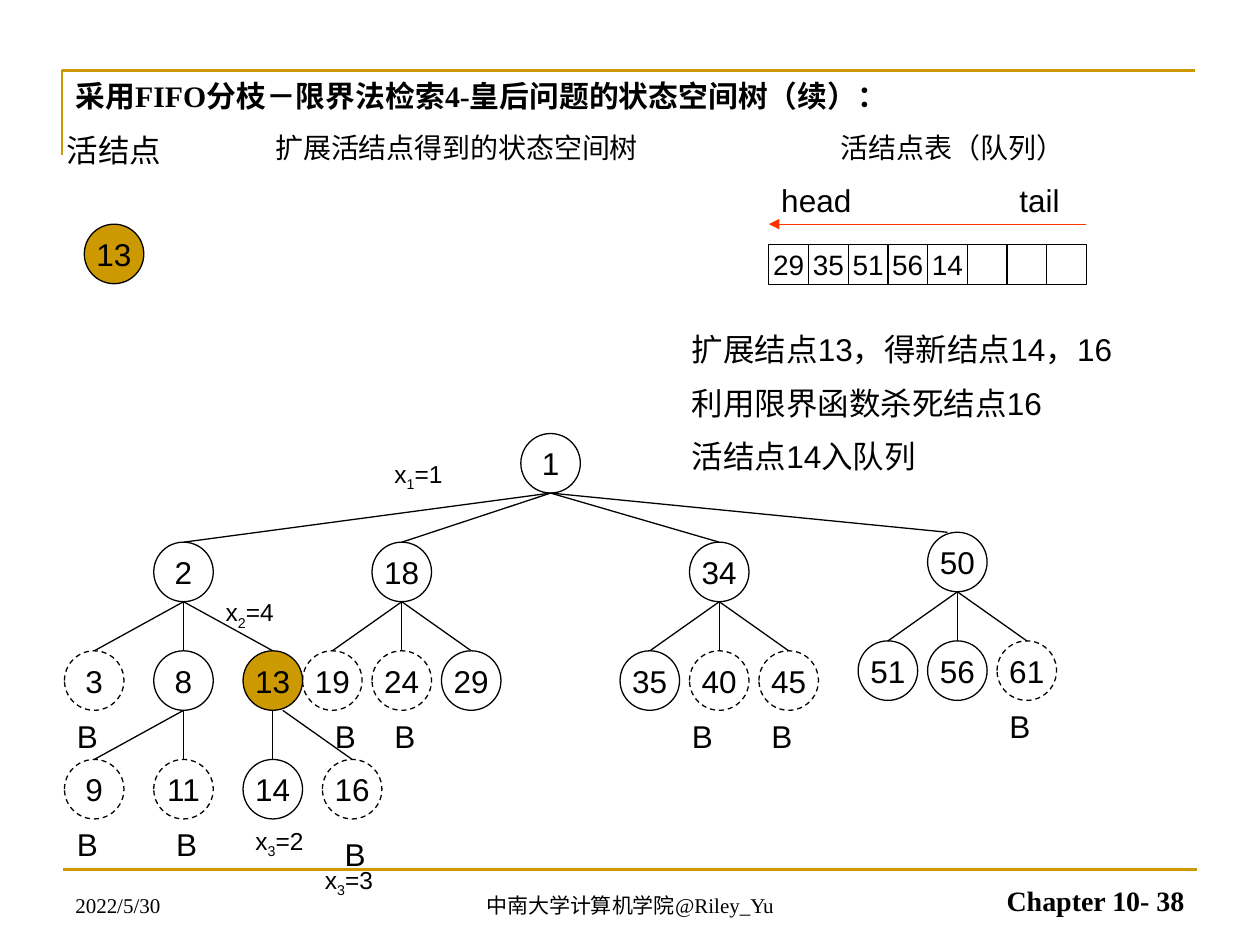
from lxml import etree
from pptx import Presentation
from pptx import util as u
from pptx.dml.color import RGBColor
from pptx.enum import dml, shapes, text
from pptx.oxml.ns import qn

BLACK = RGBColor(0x00, 0x00, 0x00)
GOLD = RGBColor(0xCC, 0x99, 0x00)
RED = RGBColor(0xFF, 0x33, 0x00)

LEFT, CENTER, RIGHT = text.PP_ALIGN.LEFT, text.PP_ALIGN.CENTER, text.PP_ALIGN.RIGHT
TOP, MIDDLE, BOTTOM = text.MSO_ANCHOR.TOP, text.MSO_ANCHOR.MIDDLE, text.MSO_ANCHOR.BOTTOM


def write(frame, content, size=18, font="Arial", bold=False, align=LEFT,
          anchor=TOP, wrap=True, subscript=None):
    """Fill a text frame, one paragraph per line of content."""
    frame.auto_size = text.MSO_AUTO_SIZE.NONE
    frame.word_wrap = wrap
    frame.vertical_anchor = anchor
    for index, line in enumerate(content.split("\n")):
        para = frame.add_paragraph() if index else frame.paragraphs[0]
        para.alignment = align
        if index:
            para.space_before = u.Pt(size / 2)
        for piece in line.partition(subscript) if subscript else [line]:
            span = para.add_run()
            span.text = piece
            span.font.size = u.Pt(size)
            span.font.name = font
            span.font.bold = bold
            span.font.color.rgb = BLACK
            if piece == subscript:
                span.font._element.set("baseline", "-25000")


def add_outlined(kind, left, top, size, label, fill=None, dashed=False):
    """Add a thin black circle or square with a centred label."""
    shape = page.shapes.add_shape(kind, u.Cm(left), u.Cm(top), u.Cm(size), u.Cm(size))
    shape.shadow.inherit = False
    if fill is None:
        shape.fill.background()
    else:
        shape.fill.solid()
        shape.fill.fore_color.rgb = fill
    shape.line.color.rgb = BLACK
    shape.line.width = u.Pt(0.75)
    if dashed:
        shape.line.dash_style = dml.MSO_LINE.DASH
    if label:
        points = 18 if kind == shapes.MSO_SHAPE.OVAL else 16
        write(shape.text_frame, label, size=points, align=CENTER, anchor=MIDDLE, wrap=False)


deck = Presentation()
deck.slide_width, deck.slide_height = u.Cm(25.4), u.Cm(19.05)
page = deck.slides.add_slide(deck.slide_layouts[5])

# Corner rule around the title
builder = page.shapes.build_freeform(u.Cm(1.25), u.Cm(3.12))
builder.add_line_segments([(u.Cm(1.25), u.Cm(1.42)), (u.Cm(24.1), u.Cm(1.42))], close=False)
corner = builder.convert_to_shape()
corner.shadow.inherit = False
corner.fill.background()
corner.line.color.rgb = GOLD
corner.line.width = u.Pt(1.5)

# Title
title = page.shapes.title
title.left, title.top = u.Cm(1.27), u.Cm(1.45)
title.width, title.height = u.Cm(23.62), u.Cm(1.55)
write(title.text_frame, "采用FIFO分枝－限界法检索4-皇后问题的状态空间树（续）：",
      size=17, font="Times New Roman", bold=True)

# Live node being expanded
NODE = 1.2
add_outlined(shapes.MSO_SHAPE.OVAL, 1.7, 4.52, NODE, "13", fill=GOLD)

# Queue of live nodes
CELL, QUEUE_LEFT = 0.8, 15.5
queue = ["29", "35", "51", "56", "14", "", "", ""]
for index, label in enumerate(queue):
    add_outlined(shapes.MSO_SHAPE.RECTANGLE, QUEUE_LEFT + index * CELL, 4.93, CELL, label)

# Lines: start x, start y, end x, end y, colour, points, arrowhead
lines = [
    (1.27, 17.53, 24.13, 17.53, GOLD, 1.5, False),
    (QUEUE_LEFT + len(queue) * CELL, 4.52, QUEUE_LEFT, 4.52, RED, 0.75, True),
]

# Text boxes: content, left, top, width, height, format
labels = [
    ("活结点", 1.1, 2.51, 2.8, 1.02, {}),
    ("扩展活结点得到的状态空间树", 5.3, 2.51, 8, 0.94, {"size": 16}),
    ("活结点表（队列）", 16.7, 2.51, 5.6, 0.94, {"size": 16}),
    ("head", 15.5, 3.53, 2.4, 1.02, {}),
    ("tail", 20.3, 3.53, 2.4, 1.02, {}),
    ("扩展结点13，得新结点14，16\n利用限界函数杀死结点16\n活结点14入队列",
     13.7, 6.53, 11.2, 3.3, {}),
]
for content, left, top in [("x1=1", 7.7, 9.12), ("x2=4", 4.3, 11.92),
                           ("x3=2", 4.9, 16.53), ("x3=3", 6.3, 17.32)]:
    labels.append((content, left, top, 2, 0.84, {"size": 14, "subscript": content[1]}))
for content, left, width, size, bold, align in [
        ("2022/5/30", 1.27, 5.93, 12, False, LEFT),
        ("中南大学计算机学院@Riley_Yu", 8.68, 8.04, 12, False, CENTER),
        ("Chapter 10- 38", 18.2, 5.93, 16, True, RIGHT)]:
    labels.append((content, left, 17.35, width, 1.27,
                   {"size": size, "font": "Times New Roman", "bold": bold,
                    "align": align, "anchor": BOTTOM}))

# State space tree: label, parent, level, left
nodes = [
    ("1", None, 0, 10.5),
    ("2", "1", 1, 3.1), ("18", "1", 1, 7.5), ("34", "1", 1, 13.9), ("50", "1", 1, 18.7),
    ("3", "2", 2, 1.3), ("8", "2", 2, 3.1), ("13", "2", 2, 4.9),
    ("19", "18", 2, 6.1), ("24", "18", 2, 7.5), ("29", "18", 2, 8.9),
    ("35", "34", 2, 12.5), ("40", "34", 2, 13.9), ("45", "34", 2, 15.3),
    ("51", "50", 2, 17.3), ("56", "50", 2, 18.7), ("61", "50", 2, 20.1),
    ("9", "8", 3, 1.3), ("11", "8", 3, 3.1), ("14", "13", 3, 4.9), ("16", "13", 3, 6.5),
]
# Killed nodes, with the offset of the B below each
killed = {"3": (0, 0), "19": (0.4, 0), "24": (0.2, 0), "40": (-0.2, 0), "45": (0, 0),
          "61": (0, 0), "9": (0, 0), "11": (0.2, 0), "16": (0.2, 0.2)}
# Horizontal shift of the start and end of edges that miss the centre
edge_shifts = {"50": (0, -0.2), "16": (0.2, 0)}
corners = {}
for label, parent, level, left in nodes:
    top = 8.74 + 2.19 * level - (0.2 if "50" in (label, parent) else 0)
    corners[label] = left, top
    add_outlined(shapes.MSO_SHAPE.OVAL, left, top, NODE, label,
                 fill=GOLD if label == "13" else None, dashed=label in killed)
    if label in killed:
        right_by, down_by = killed[label]
        labels.append(("B", left + right_by, top + NODE + down_by, 1.8, 1.02, {}))
    if parent:
        parent_left, parent_top = corners[parent]
        start_shift, end_shift = edge_shifts.get(label, (0, 0))
        lines.append((parent_left + NODE / 2 + start_shift, parent_top + NODE,
                      left + NODE / 2 + end_shift, top, BLACK, 0.75, False))

# Draw the lines
for x1, y1, x2, y2, colour, points, arrow in lines:
    line = page.shapes.add_connector(shapes.MSO_CONNECTOR.STRAIGHT,
                                     u.Cm(x1), u.Cm(y1), u.Cm(x2), u.Cm(y2))
    line.line.color.rgb = colour
    line.line.width = u.Pt(points)
    properties = line._element.spPr
    if arrow:
        etree.SubElement(properties.find(qn("a:ln")), qn("a:tailEnd"), type="triangle")
    etree.SubElement(properties, qn("a:effectLst"))

# Place the text boxes
for content, left, top, width, height, style in labels:
    box = page.shapes.add_textbox(u.Cm(left), u.Cm(top), u.Cm(width), u.Cm(height))
    write(box.text_frame, content, **style)

deck.save("out.pptx")
